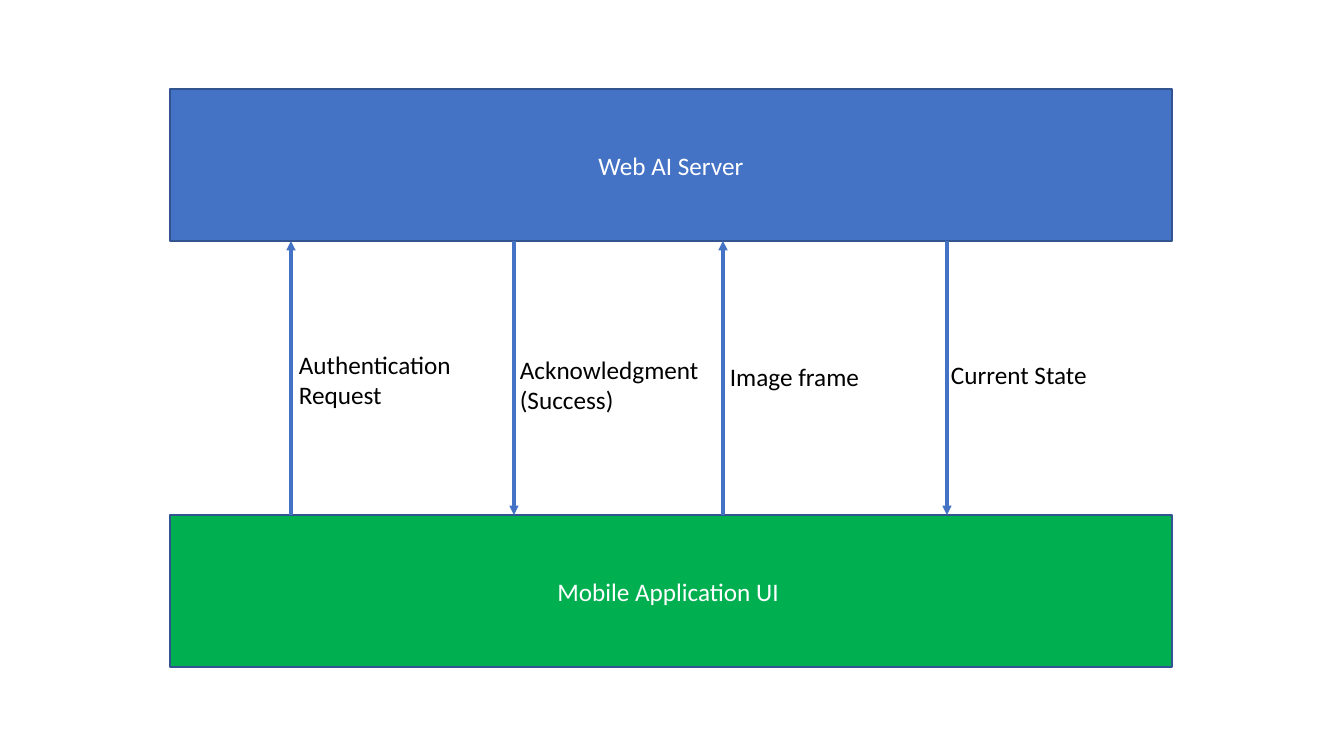
from lxml.etree import SubElement
from pptx import Presentation
from pptx.dml.color import RGBColor
from pptx.enum.shapes import MSO_CONNECTOR, MSO_SHAPE
from pptx.enum.text import MSO_ANCHOR, MSO_AUTO_SIZE, PP_ALIGN
from pptx.oxml.ns import qn
from pptx.util import Emu, Inches, Pt

BLUE = RGBColor(0x44, 0x72, 0xC4)
GREEN = RGBColor(0x00, 0xB0, 0x50)
EDGE = RGBColor(0x32, 0x54, 0x91)
WHITE = RGBColor(0xFF, 0xFF, 0xFF)
BLACK = RGBColor(0x00, 0x00, 0x00)

PIXEL = Inches(1) / 100.8
SERVER_BOTTOM, APP_TOP = 241, 515
TIER_LEFT, TIER_WIDTH, TIER_HEIGHT = 170, 1002, 152

tiers = [
    ("Web AI Server", SERVER_BOTTOM - TIER_HEIGHT, BLUE),
    ("Mobile Application UI ", APP_TOP, GREEN),
]
messages = [
    ("Authentication \vRequest", "up", 291, (289, 344, 180, 72)),
    ("Acknowledgment \n(Success)", "down", 514, (510, 349, 207, 72)),
    ("Image frame", "up", 723, (720, 356, 151, 40)),
    ("Current State", "down", 947, (941, 354, 156, 40)),
]


def px(*lengths):
    return [Emu(round(length * PIXEL)) for length in lengths]


def write(frame, text, color, align):
    frame.text = text
    for paragraph in frame.paragraphs:
        paragraph.alignment = align
        paragraph.font.name = "Calibri"
        paragraph.font.size = Pt(18)
        paragraph.font.color.rgb = color


def add_tier(slide, name, top, fill):
    tier = slide.shapes.add_shape(
        MSO_SHAPE.RECTANGLE, *px(TIER_LEFT, top, TIER_WIDTH, TIER_HEIGHT))
    tier.shadow.inherit = False
    tier.fill.solid()
    tier.fill.fore_color.rgb = fill
    tier.line.color.rgb = EDGE
    tier.line.width = Pt(1)
    tier.text_frame.vertical_anchor = MSO_ANCHOR.MIDDLE
    write(tier.text_frame, name, WHITE, PP_ALIGN.CENTER)


def add_arrow(slide, x, direction):
    start, end = SERVER_BOTTOM, APP_TOP
    if direction == "up":
        start, end = end, start
    arrow = slide.shapes.add_connector(
        MSO_CONNECTOR.STRAIGHT, *px(x, start, x, end))
    arrow.line.color.rgb = BLUE
    arrow.line.width = Pt(2.25)
    SubElement(arrow.line._get_or_add_ln(), qn("a:tailEnd"), type="triangle")
    SubElement(arrow._element.spPr, qn("a:effectLst"))


def add_label(slide, text, place):
    frame = slide.shapes.add_textbox(*px(*place)).text_frame
    frame.word_wrap = False
    frame.auto_size = MSO_AUTO_SIZE.SHAPE_TO_FIT_TEXT
    write(frame, text, BLACK, PP_ALIGN.LEFT)


deck = Presentation()
deck.slide_width, deck.slide_height = px(1344, 756)
slide = deck.slides.add_slide(deck.slide_layouts[6])

for name, top, fill in tiers:
    add_tier(slide, name, top, fill)
for text, direction, x, place in messages:
    add_arrow(slide, x, direction)
    add_label(slide, text, place)

deck.save("out.pptx")
